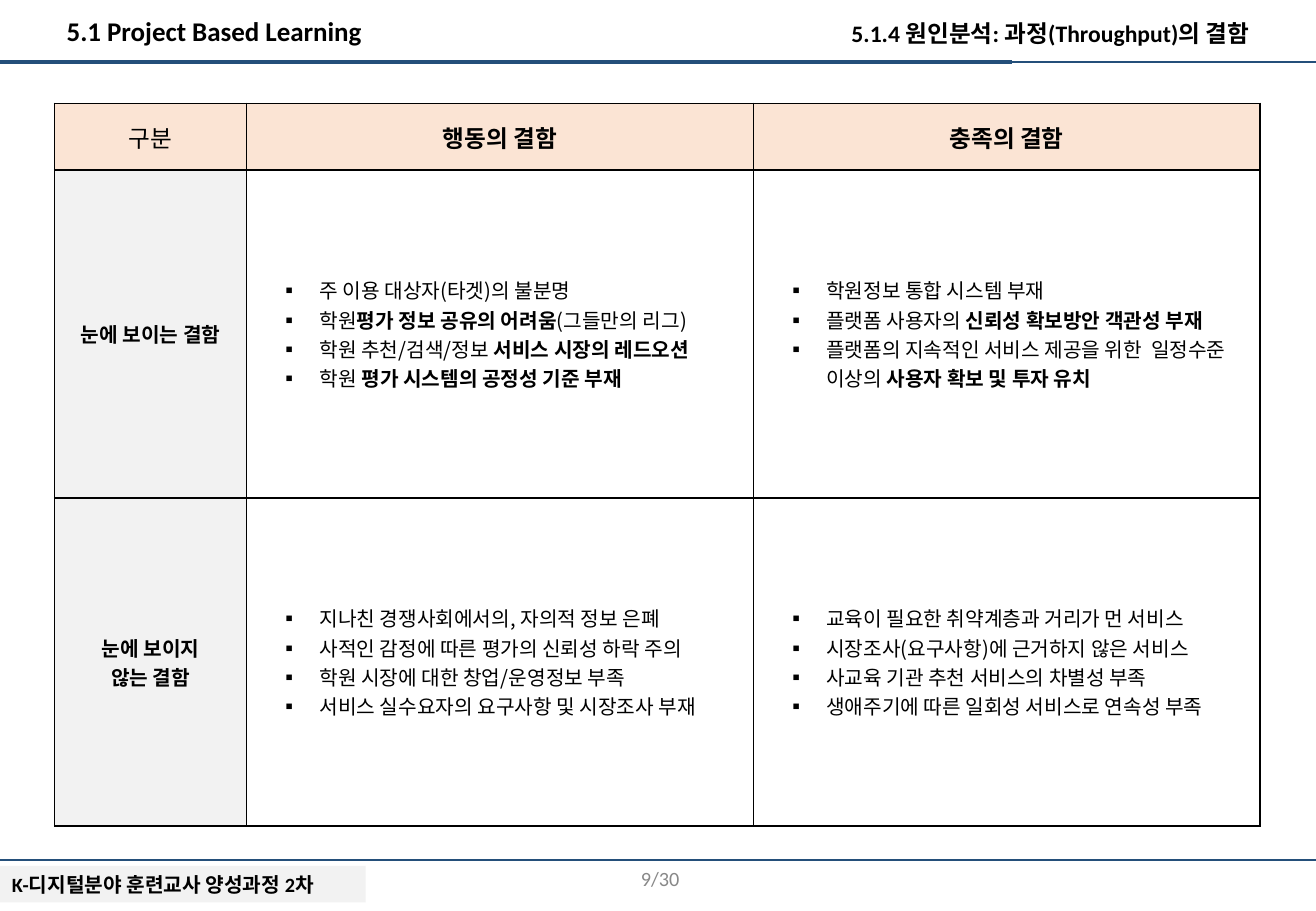
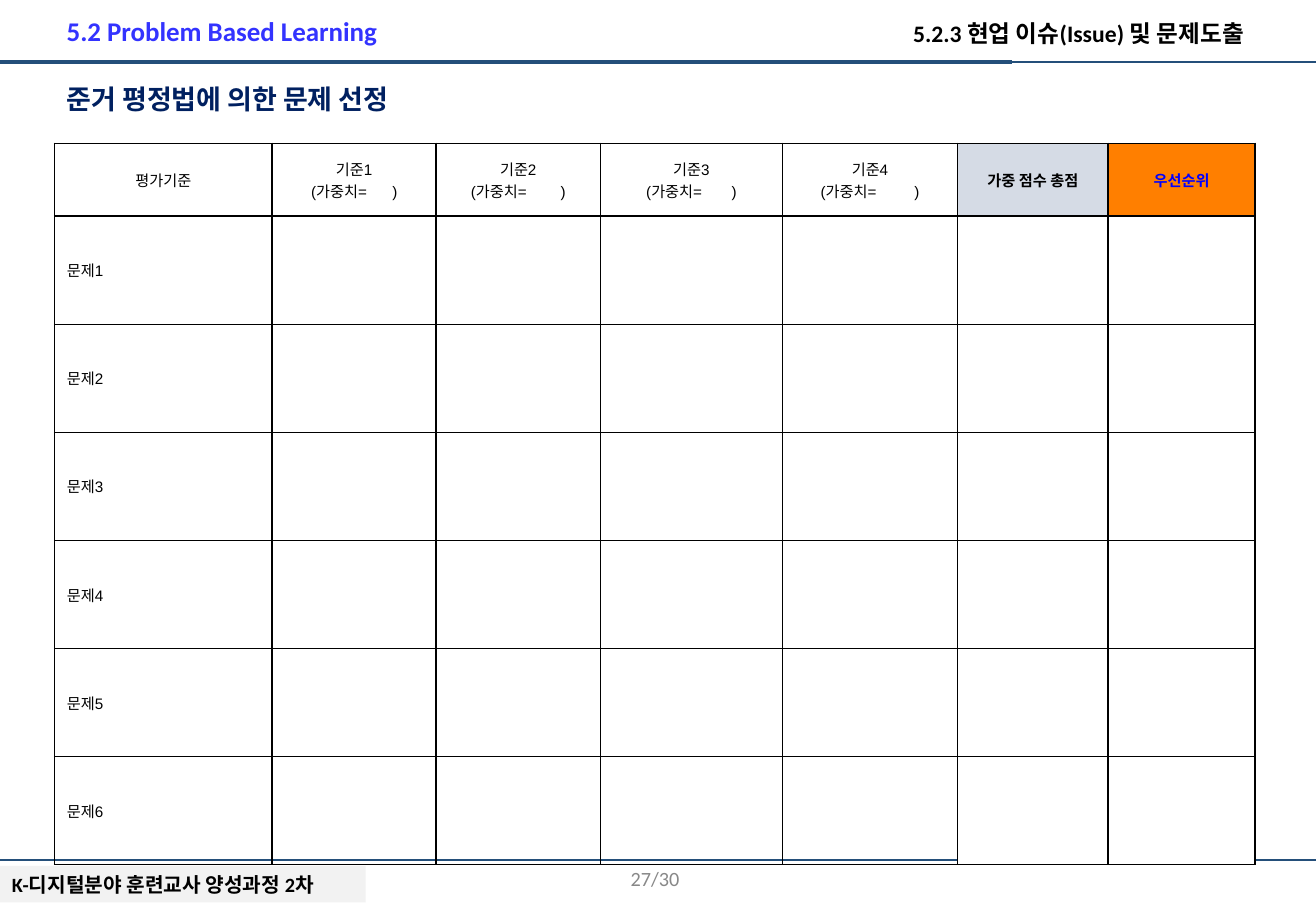
from dataclasses import dataclass

from lxml.etree import SubElement
from pptx import Presentation
from pptx.dml.color import RGBColor as RGB
from pptx.enum.shapes import MSO_CONNECTOR as Connector, MSO_SHAPE as Shape
from pptx.enum.text import MSO_ANCHOR as Anchor, PP_ALIGN as Align
from pptx.oxml.ns import qn
from pptx.util import Inches, Pt


@dataclass(frozen=True)
class Theme:
    black: str = "000000"
    white: str = "FFFFFF"
    rule: str = "244F7A"
    grey: str = "F2F2F2"
    page_number: str = "888888"
    violet: str = "3333FF"
    navy: str = "002060"
    peach: str = "FBE4D4"
    steel: str = "D5DBE5"
    orange: str = "FF7F00"
    blue: str = "0000FF"
    heading_font: str = "Calibri"
    table_font: str = "Arial"
    korean_font: str = "Noto Sans CJK KR"
    title_size: int = 16
    topic_size: int = 14
    body_size: int = 12
    small_size: int = 9


THEME = Theme()


def write(text_frame, text, size, font, color=THEME.black, bold=False,
          align=Align.LEFT, bullet=None):
    """Fill the frame, one paragraph per line; *stars* enclose bold words."""
    text_frame.word_wrap = True
    for number, line in enumerate(text.split("\n")):
        paragraph = text_frame.add_paragraph() if number else text_frame.paragraphs[0]
        paragraph.alignment = align
        for index, part in enumerate(line.split("*")):
            if not part:
                continue
            run = paragraph.add_run()
            run.text = part
            run.font.size = Pt(size)
            run.font.bold = bold or index % 2 == 1
            run.font.color.rgb = RGB.from_string(color)
            run.font.name = font
            SubElement(run.font._element, qn("a:ea"), typeface=THEME.korean_font)
        if bullet:
            properties = paragraph._p.get_or_add_pPr()
            properties.set("marL", str(Inches(0.5)))
            properties.set("indent", str(Inches(-0.33)))
            bullet_color = SubElement(properties, qn("a:buClr"))
            SubElement(bullet_color, qn("a:srgbClr"), val=THEME.black)
            SubElement(properties, qn("a:buFont"), typeface=THEME.korean_font)
            SubElement(properties, qn("a:buChar"), char=bullet)


def add_bordered_table(slide, top, widths, heights):
    """Add an unfilled table with thin black borders and centred anchoring."""
    frame = slide.shapes.add_table(
        len(heights), len(widths), Inches(0.45), Inches(top),
        Inches(sum(widths)), Inches(sum(heights)))
    table = frame.table
    table.first_row = table.horz_banding = False
    for column, width in zip(table.columns, widths):
        column.width = Inches(width)
    for row, height in zip(table.rows, heights):
        row.height = Inches(height)
    for cell in table.iter_cells():
        cell.vertical_anchor = Anchor.MIDDLE
        properties = cell._tc.get_or_add_tcPr()
        for side in ("a:lnL", "a:lnR", "a:lnT", "a:lnB"):
            border = SubElement(properties, qn(side), w=str(Pt(1)))
            solid = SubElement(border, qn("a:solidFill"))
            SubElement(solid, qn("a:srgbClr"), val=THEME.black)
        cell.fill.background()
    return table


presentation = Presentation()
presentation.slide_width = Inches(10.83)
presentation.slide_height = Inches(7.5)

# Shared header, rules and footer
headers = [
    ("5.1 Project Based Learning", THEME.black,
     "5.1.4 원인분석: 과정(Throughput)의 결함", "9/30"),
    ("5.2 Problem Based Learning", THEME.violet,
     "5.2.3 현업 이슈(Issue) 및 문제도출 ", "27/30"),
]
rules = [(0.51, 10.83, 0.75), (0.51, 8.33, 2.5), (7.08, 10.83, 0.75)]

for title, title_color, topic, page in headers:
    slide = presentation.slides.add_slide(presentation.slide_layouts[6])
    band = slide.shapes.add_shape(
        Shape.RECTANGLE, 0, Inches(7.13), Inches(3.01), Inches(0.3))
    band.shadow.inherit = False
    band.fill.solid()
    band.fill.fore_color.rgb = RGB.from_string(THEME.grey)
    band.line.fill.background()
    band.text_frame.vertical_anchor = Anchor.TOP
    write(band.text_frame, "K-디지털분야 훈련교사 양성과정 2차",
          THEME.body_size, THEME.heading_font, bold=True)

    for y, length, weight in rules:
        rule = slide.shapes.add_connector(
            Connector.STRAIGHT, 0, Inches(y), Inches(length), Inches(y))
        rule.line.color.rgb = RGB.from_string(THEME.rule)
        rule.line.width = Pt(weight)
        SubElement(rule._element.spPr, qn("a:effectLst"))

    labels = [
        (title, 0.45, 0.07, 3.29, 0.37, THEME.title_size, title_color, True, Align.LEFT),
        (topic, 6.46, 0.11, 3.92, 0.34, THEME.topic_size, THEME.black, True, Align.RIGHT),
        (page, 3.25, 7.03, 2.44, 0.4, THEME.body_size, THEME.page_number, False, Align.RIGHT),
    ]
    for text, left, top, width, height, size, color, bold, align in labels:
        label = slide.shapes.add_textbox(
            Inches(left), Inches(top), Inches(width), Inches(height))
        if text == page:
            label.text_frame.vertical_anchor = Anchor.MIDDLE
        write(label.text_frame, text, size, THEME.heading_font, color, bold, align)

defect_slide, rating_slide = presentation.slides

# Defects in the process
defects = [
    ["구분", "행동의 결함", "충족의 결함"],
    ["눈에 보이는 결함",
     "주 이용 대상자(타겟)의 불분명\n"
     "학원*평가 정보 공유의 어려움*(그들만의 리그)\n"
     "학원 추천/검색/정보 *서비스 시장의 레드오션*\n"
     "학원* 평가 시스템의 공정성 기준 부재*",
     "학원정보 통합 시스템 부재\n"
     "플랫폼 사용자의 *신뢰성 확보방안 객관성 부재*\n"
     "플랫폼의 지속적인 서비스 제공을 위한  일정수준 이상의 *사용자 확보 및 투자 유치*"],
    ["눈에 보이지\n않는 결함",
     "지나친 경쟁사회에서의, 자의적 정보 은폐\n"
     "사적인 감정에 따른 평가의 신뢰성 하락 주의\n"
     "학원 시장에 대한 창업/운영정보 부족\n"
     "서비스 실수요자의 요구사항 및 시장조사 부재",
     "교육이 필요한 취약계층과 거리가 먼 서비스\n"
     "시장조사(요구사항)에 근거하지 않은 서비스\n"
     "사교육 기관 추천 서비스의 차별성 부족\n"
     "생애주기에 따른 일회성 서비스로 연속성 부족"],
]
table = add_bordered_table(defect_slide, 0.85, [1.58, 4.17, 4.17], [0.55, 2.7, 2.7])
for row, texts in enumerate(defects):
    for column, text in enumerate(texts):
        cell = table.cell(row, column)
        if row and column:
            write(cell.text_frame, text, THEME.body_size, THEME.korean_font, bullet="▪")
            continue
        cell.fill.solid()
        cell.fill.fore_color.rgb = RGB.from_string(THEME.grey if row else THEME.peach)
        write(cell.text_frame, text, THEME.body_size if row else THEME.topic_size,
              THEME.table_font, bold=row + column > 0, align=Align.CENTER)

# Rating of problems against weighted criteria
criteria = [
    ("평가기준", THEME.black, None),
    ("기준1\n(가중치=      )", THEME.black, None),
    ("기준2\n(가중치=        )", THEME.black, None),
    ("기준3\n(가중치=       )", THEME.black, None),
    ("기준4\n(가중치=         )", THEME.black, None),
    ("가중 점수 총점", THEME.black, THEME.steel),
    ("우선순위", THEME.blue, THEME.orange),
]
problem_count = 6
table = add_bordered_table(
    rating_slide, 1.18, [1.79, 1.35, 1.35, 1.5, 1.44, 1.24, 1.21],
    [0.6] + [0.89] * problem_count)
for column, (text, color, fill) in enumerate(criteria):
    write(table.cell(0, column).text_frame, text, THEME.small_size, THEME.table_font,
          color, bold=fill is not None, align=Align.CENTER)
    if fill:
        for row in range(problem_count + 1):
            cell = table.cell(row, column)
            cell.fill.solid()
            cell.fill.fore_color.rgb = RGB.from_string(THEME.white if row else fill)
for number in range(1, problem_count + 1):
    write(table.cell(number, 0).text_frame, f"문제{number}",
          THEME.small_size, THEME.table_font)

subtitle = rating_slide.shapes.add_textbox(
    Inches(0.45), Inches(0.63), Inches(5.99), Inches(0.37))
write(subtitle.text_frame, "준거 평정법에 의한 문제 선정", THEME.title_size,
      THEME.korean_font, THEME.navy, bold=True)

presentation.save("out.pptx")
